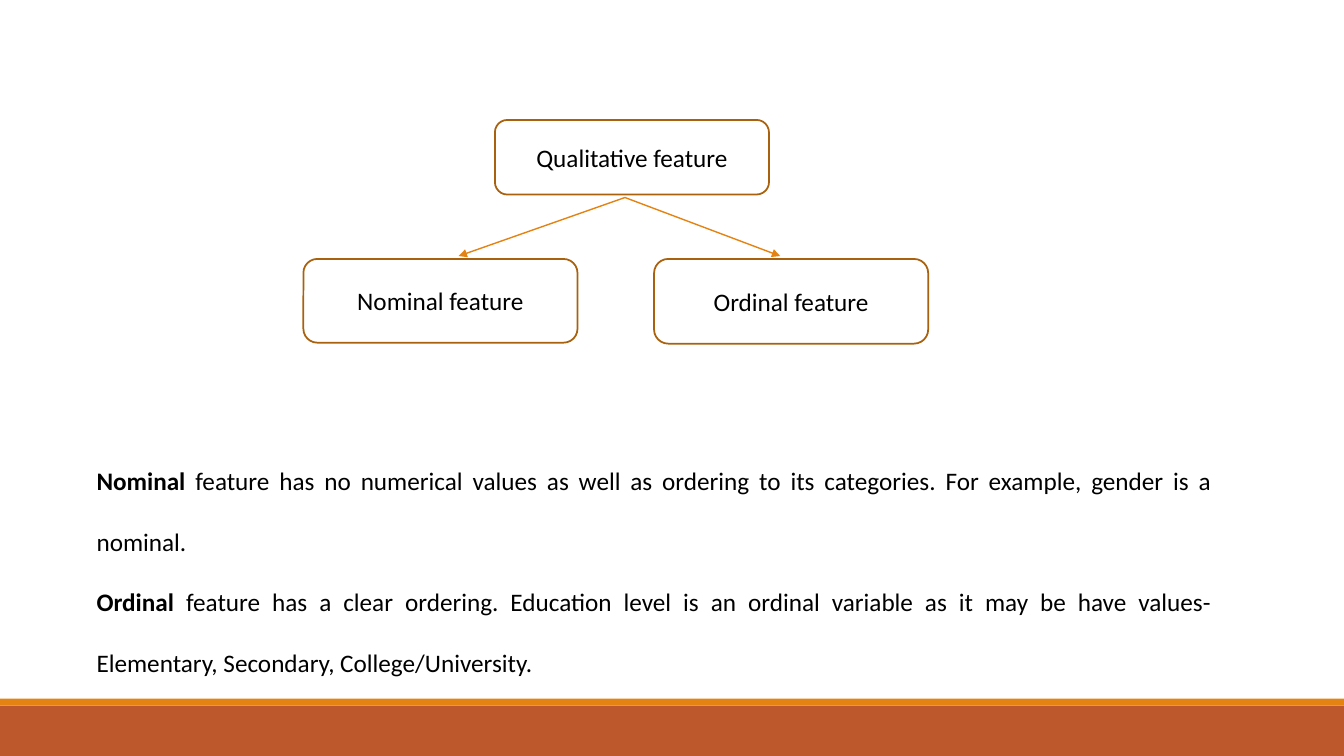
"""Build a slide that splits qualitative features into nominal and ordinal ones."""
from lxml import etree
from pptx import Presentation
from pptx import util as u
from pptx.dml.color import RGBColor
from pptx.enum import shapes, text
from pptx.oxml import ns

BLACK = RGBColor(0x00, 0x00, 0x00)
RUST = RGBColor(0xBD, 0x58, 0x2C)
ORANGE = RGBColor(0xE4, 0x83, 0x12)
BROWN = RGBColor(0xA9, 0x61, 0x0D)

SLIDE_WIDTH, SLIDE_HEIGHT = 960, 540
BANDS = [(504, 36, RUST), (499, 5, ORANGE)]
BOX_WIDTH = 195.8
FEATURES = [
    ("Qualitative feature", 353.5, 85.7, 53.3),
    ("Nominal feature", 216.7, 185, 59.8),
    ("Ordinal feature", 467.2, 185, 60.5),
]
ARROW_START = (446.4, 141.1)
ARROW_ENDS = [(557.3, 182.9), (327.6, 182.9)]
NOTES_AREA = (61.9, 307.4, 810.7, 181.4)
DEFINITIONS = [
    ("Nominal", " feature has no numerical values as well as ordering to its "
     "categories. For example, gender is a nominal. "),
    ("Ordinal ", "feature has a clear ordering. Education level is an ordinal "
     "variable as it may be have values- Elementary, Secondary, College/University."),
]


def points(*lengths):
    return [u.Pt(length) for length in lengths]


def set_font(para):
    para.font.name = "Calibri"
    para.font.size = u.Pt(18)
    para.font.color.rgb = BLACK


def add_band(page, top, height, color):
    band = page.shapes.add_shape(
        shapes.MSO_SHAPE.RECTANGLE, *points(0, top, SLIDE_WIDTH, height))
    band.shadow.inherit = False
    band.fill.solid()
    band.fill.fore_color.rgb = color
    band.line.fill.background()


def add_feature(page, label, left, top, height):
    box = page.shapes.add_shape(
        shapes.MSO_SHAPE.ROUNDED_RECTANGLE, *points(left, top, BOX_WIDTH, height))
    box.shadow.inherit = False
    box.fill.background()
    box.line.color.rgb = BROWN
    box.line.width = u.Pt(1.25)
    box.text_frame.vertical_anchor = text.MSO_ANCHOR.MIDDLE
    para = box.text_frame.paragraphs[0]
    para.text = label
    para.alignment = text.PP_ALIGN.CENTER
    set_font(para)


def add_arrow(page, end):
    arrow = page.shapes.add_connector(
        shapes.MSO_CONNECTOR.STRAIGHT, *points(*ARROW_START, *end))
    arrow.line.color.rgb = ORANGE
    arrow.line.width = u.Pt(1)
    etree.SubElement(arrow.line._get_or_add_ln(), ns.qn("a:tailEnd"), type="triangle")
    etree.SubElement(arrow._element.spPr, ns.qn("a:effectLst"))


def add_definitions(page):
    frame = page.shapes.add_textbox(*points(*NOTES_AREA)).text_frame
    frame.word_wrap = True
    frame.auto_size = text.MSO_AUTO_SIZE.SHAPE_TO_FIT_TEXT
    for index, (term, meaning) in enumerate(DEFINITIONS):
        para = frame.add_paragraph() if index else frame.paragraphs[0]
        para.alignment = text.PP_ALIGN.JUSTIFY
        para.line_spacing = 2.0
        set_font(para)
        for words, bold in ((term, True), (meaning, False)):
            span = para.add_run()
            span.text = words
            span.font.bold = bold


def main():
    deck = Presentation()
    deck.slide_width, deck.slide_height = points(SLIDE_WIDTH, SLIDE_HEIGHT)
    page = deck.slides.add_slide(deck.slide_layouts[6])
    for band in BANDS:
        add_band(page, *band)
    for feature in FEATURES:
        add_feature(page, *feature)
    for end in ARROW_ENDS:
        add_arrow(page, end)
    add_definitions(page)
    deck.save("out.pptx")


if __name__ == "__main__":
    main()
